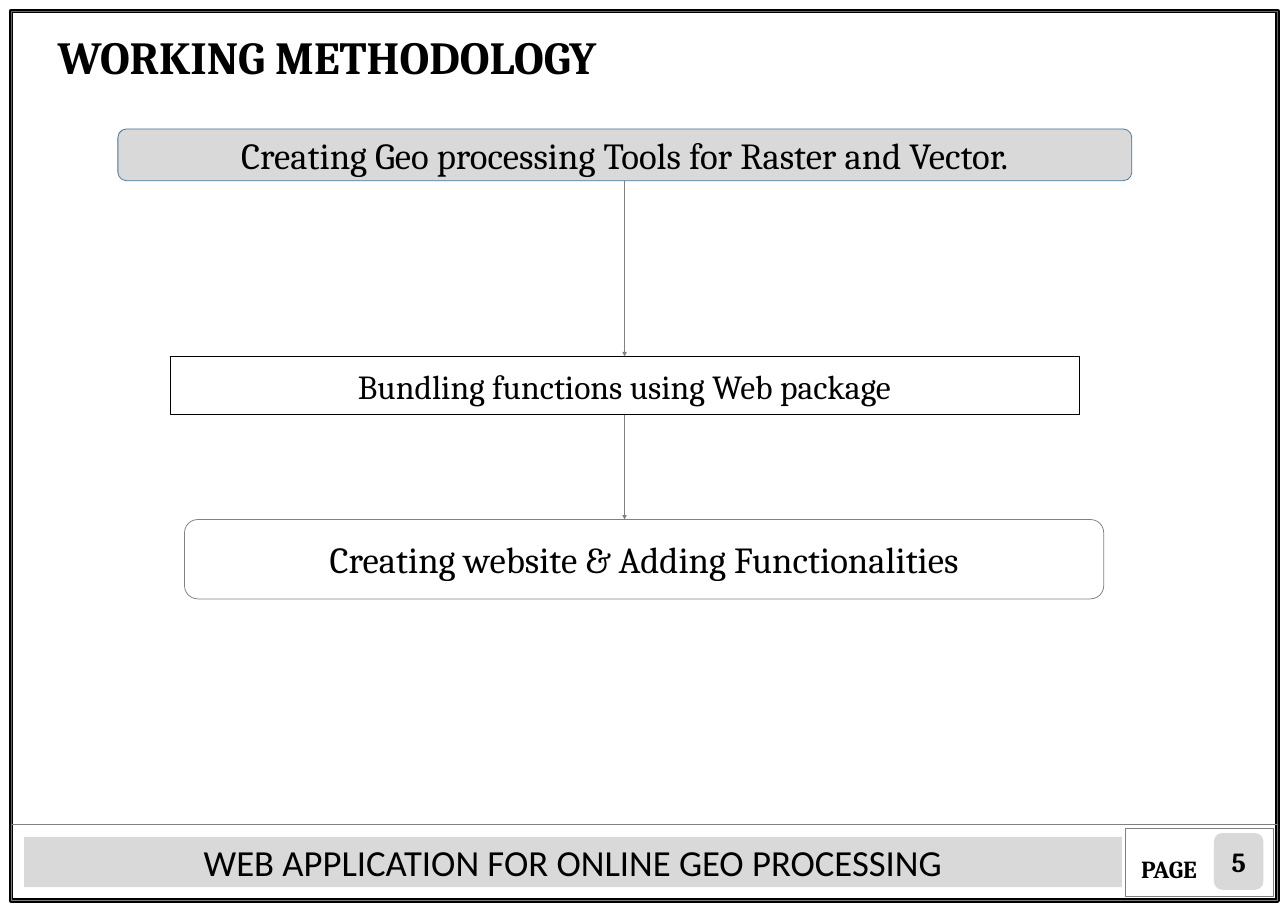
from dataclasses import dataclass

from lxml import etree
from pptx import Presentation
from pptx.dml.color import RGBColor
from pptx.enum.shapes import MSO_CONNECTOR, MSO_SHAPE
from pptx.enum.text import MSO_ANCHOR, PP_ALIGN
from pptx.oxml.ns import qn
from pptx.util import Inches, Pt

RECT, ROUND = MSO_SHAPE.RECTANGLE, MSO_SHAPE.ROUNDED_RECTANGLE
STRAIGHT = MSO_CONNECTOR.STRAIGHT
LEFT, CENTER = PP_ALIGN.LEFT, PP_ALIGN.CENTER
TOP, MIDDLE = MSO_ANCHOR.TOP, MSO_ANCHOR.MIDDLE


@dataclass(frozen=True)
class Theme:
    serif: str = "Cambria"
    sans: str = "Calibri"
    black: str = "000000"
    white: str = "FFFFFF"
    panel: str = "D9D9D9"
    gray: str = "808080"
    blue: str = "2E75B6"
    steel: str = "43739E"
    title: int = 60
    step: int = 48
    step_small: int = 44
    number: int = 36
    page: int = 32


T = Theme()


def add_box(kind, box, fill=None, line=None, width=1):
    sp = s.shapes.add_shape(kind, *[Inches(v) for v in box])
    sp.shadow.inherit = False
    if fill:
        sp.fill.solid()
        sp.fill.fore_color.rgb = RGBColor.from_string(fill)
    else:
        sp.fill.background()
    if line:
        sp.line.color.rgb = RGBColor.from_string(line)
        sp.line.width = Pt(width)
    else:
        sp.line.fill.background()
    return sp


def write(sp, text, size, font=T.serif, bold=False, align=CENTER, anchor=MIDDLE, wrap=True):
    tf = sp.text_frame
    tf.text = text
    tf.word_wrap = wrap
    tf.vertical_anchor = anchor
    p = tf.paragraphs[0]
    p.alignment = align
    r = p.runs[0]
    r.font.name = font
    r.font.size = Pt(size)
    r.font.bold = bold
    r.font.color.rgb = RGBColor.from_string(T.black)


# A2 landscape, whose exact size is a round number only in points
prs = Presentation()
prs.slide_width, prs.slide_height = Pt(1683.75), Pt(1190.5)
s = prs.slides.add_slide(prs.slide_layouts[6])

# Page frame and footer outlines
page_frame = (0.2, 0.2, 22.99, 16.14)
add_box(RECT, page_frame, line=T.black, width=6)
add_box(RECT, page_frame, line=T.blue)
add_box(RECT, (0.2, 14.96, 22.99, 1.38), line=T.gray)
add_box(RECT, (20.44, 15.04, 2.68, 1.23), line=T.gray)

# Title
title = s.shapes.add_textbox(Inches(0.95), Inches(0.47), Inches(20.78), Inches(1.11))
write(title, "WORKING METHODOLOGY", T.title, bold=True, align=LEFT, anchor=TOP)

# Footer: page label, project name, page number
label = s.shapes.add_textbox(Inches(20.62), Inches(15.46), Inches(1.58), Inches(0.64))
write(label, "PAGE", T.page, bold=True, align=LEFT, anchor=TOP, wrap=False)
project = add_box(RECT, (0.44, 15.19, 19.93, 0.91), T.panel)
write(project, "WEB APPLICATION FOR ONLINE GEO PROCESSING", T.step, T.sans, anchor=TOP)
number = add_box(ROUND, (22.04, 15.12, 0.9, 1.03), T.panel)
write(number, "5", T.number, bold=True)

# Method steps, from top to bottom
steps = [
    ("Creating Geo processing Tools for Raster and Vector.",
     ROUND, (2.14, 2.34, 18.41, 0.94), T.panel, T.steel, T.step),
    ("Bundling functions using Web package",
     RECT, (3.09, 6.47, 16.5, 1.06), T.white, T.black, T.step_small),
    ("Creating website & Adding Functionalities",
     ROUND, (3.35, 9.43, 16.69, 1.44), T.white, T.gray, T.step),
]
boxes = []
for text, kind, box, fill, line, size in steps:
    sp = add_box(kind, box, fill, line)
    write(sp, text, size)
    boxes.append(sp)

# Arrows between consecutive steps
arrow_x = Inches(11.34)
for upper, lower in zip(boxes, boxes[1:]):
    arrow = s.shapes.add_connector(STRAIGHT, arrow_x, upper.top + upper.height, arrow_x, lower.top)
    arrow.line.color.rgb = RGBColor.from_string(T.gray)
    arrow.line.width = Pt(0.5)
    etree.SubElement(arrow.line._get_or_add_ln(), qn("a:tailEnd"), type="triangle")
    etree.SubElement(arrow._element.spPr, qn("a:effectLst"))

prs.save("out.pptx")
